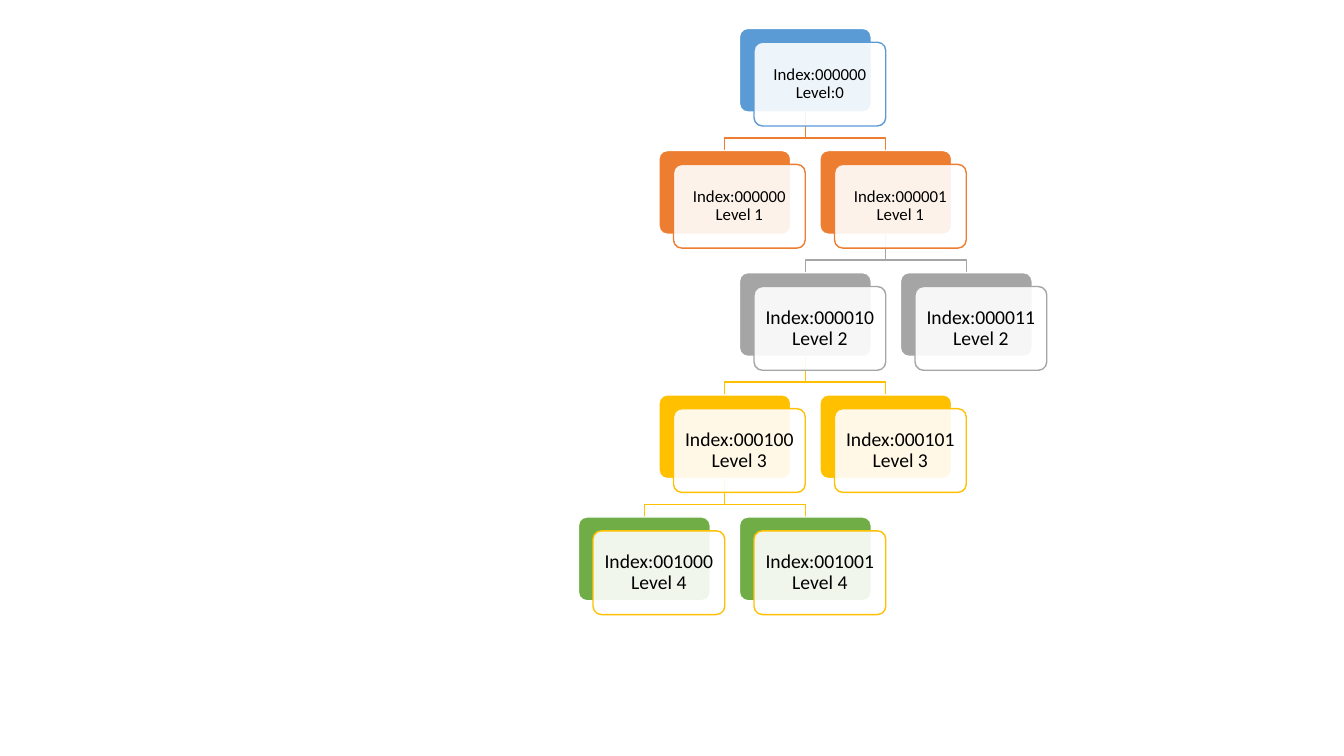
"""Build a slide with a five-level binary index tree."""
import pptx
import pptx.dml.color
import pptx.enum.shapes
import pptx.enum.text
import pptx.oxml.ns
import pptx.util
from lxml import etree

ROOT_CENTER, ROOT_TOP = 575.25, 20.3
HALF_STEP, LEVEL_STEP = 57.5, 87.25
NODE_WIDTH, NODE_HEIGHT = 94.1, 59.8
CARD_SHIFT_X, CARD_SHIFT_Y = 10.4, 9.9
ELBOW_DROP = 18.4

LEVELS = [
    ("Level:0", None, "5B9BD5", "5B9BD5", 12, {0: "000000"}),
    ("Level 1", 0, "ED7D31", "ED7D31", 12, {-1: "000000", 1: "000001"}),
    ("Level 2", 1, "A5A5A5", "A5A5A5", 14, {0: "000010", 2: "000011"}),
    ("Level 3", 0, "FFC000", "FFC000", 14, {-1: "000100", 1: "000101"}),
    ("Level 4", -1, "70AD47", "FFC000", 14, {-2: "001000", 0: "001001"}),
]


def color(hex_value):
    return pptx.dml.color.RGBColor.from_string(hex_value)


def center_of(column):
    return ROOT_CENTER + column * HALF_STEP


def top_of(depth):
    return ROOT_TOP + depth * LEVEL_STEP


class TreeSlide:
    font = "Calibri"
    text_color = "000000"
    card_color = "FFFFFF"
    line_width = 1

    def __init__(self, slide):
        self.shapes = slide.shapes

    def outline(self, shape, line_color):
        shape.shadow.inherit = False
        shape.line.color.rgb = color(line_color)
        shape.line.width = pptx.util.Pt(self.line_width)

    def link(self, parent_column, child_column, depth, line_color):
        start = top_of(depth - 1) + NODE_HEIGHT
        parent_x, child_x = center_of(parent_column), center_of(child_column)
        bends = [(parent_x, start + ELBOW_DROP), (child_x, start + ELBOW_DROP),
                 (child_x, top_of(depth))]
        builder = self.shapes.build_freeform(pptx.util.Pt(parent_x), pptx.util.Pt(start))
        builder.add_line_segments(
            [(pptx.util.Pt(x), pptx.util.Pt(y)) for x, y in bends], close=False)
        branch = builder.convert_to_shape()
        branch.fill.background()
        self.outline(branch, line_color)

    def panel(self, left, top, fill, line_color):
        panel = self.shapes.add_shape(
            pptx.enum.shapes.MSO_SHAPE.ROUNDED_RECTANGLE,
            pptx.util.Pt(left), pptx.util.Pt(top),
            pptx.util.Pt(NODE_WIDTH), pptx.util.Pt(NODE_HEIGHT))
        panel.adjustments[0] = 0.1
        panel.fill.solid()
        panel.fill.fore_color.rgb = color(fill)
        self.outline(panel, line_color)
        return panel

    def node(self, column, depth, label, fill, border, size):
        left, top = center_of(column) - NODE_WIDTH / 2, top_of(depth)
        self.panel(left, top, fill, self.card_color)
        card = self.panel(left + CARD_SHIFT_X, top + CARD_SHIFT_Y,
                          self.card_color, border)
        qn = pptx.oxml.ns.qn
        card_fill = card.element.spPr.find(qn("a:solidFill")).find(qn("a:srgbClr"))
        etree.SubElement(card_fill, qn("a:alpha"), val="90000")
        self.caption(card.text_frame, label, size)

    def caption(self, frame, label, size):
        frame.word_wrap = True
        frame.vertical_anchor = pptx.enum.text.MSO_ANCHOR.MIDDLE
        frame.margin_left = frame.margin_right = pptx.util.Pt(size * 0.3)
        frame.margin_top = frame.margin_bottom = pptx.util.Pt(size * 0.3)
        paragraph = frame.paragraphs[0]
        paragraph.text = label
        paragraph.alignment = pptx.enum.text.PP_ALIGN.CENTER
        paragraph.line_spacing = 0.9
        paragraph.font.name = self.font
        paragraph.font.size = pptx.util.Pt(size)
        paragraph.font.color.rgb = color(self.text_color)


def main():
    presentation = pptx.Presentation()
    presentation.slide_width = pptx.util.Pt(960)
    presentation.slide_height = pptx.util.Pt(540)
    tree = TreeSlide(presentation.slides.add_slide(presentation.slide_layouts[6]))
    for depth, (_, parent, _, border, _, indexes) in enumerate(LEVELS):
        if parent is not None:
            for column in indexes:
                tree.link(parent, column, depth, border)
    for depth, (level, _, fill, border, size, indexes) in enumerate(LEVELS):
        for column, index in indexes.items():
            tree.node(column, depth, f"Index:{index} {level}", fill, border, size)
    presentation.save("out.pptx")


if __name__ == "__main__":
    main()
